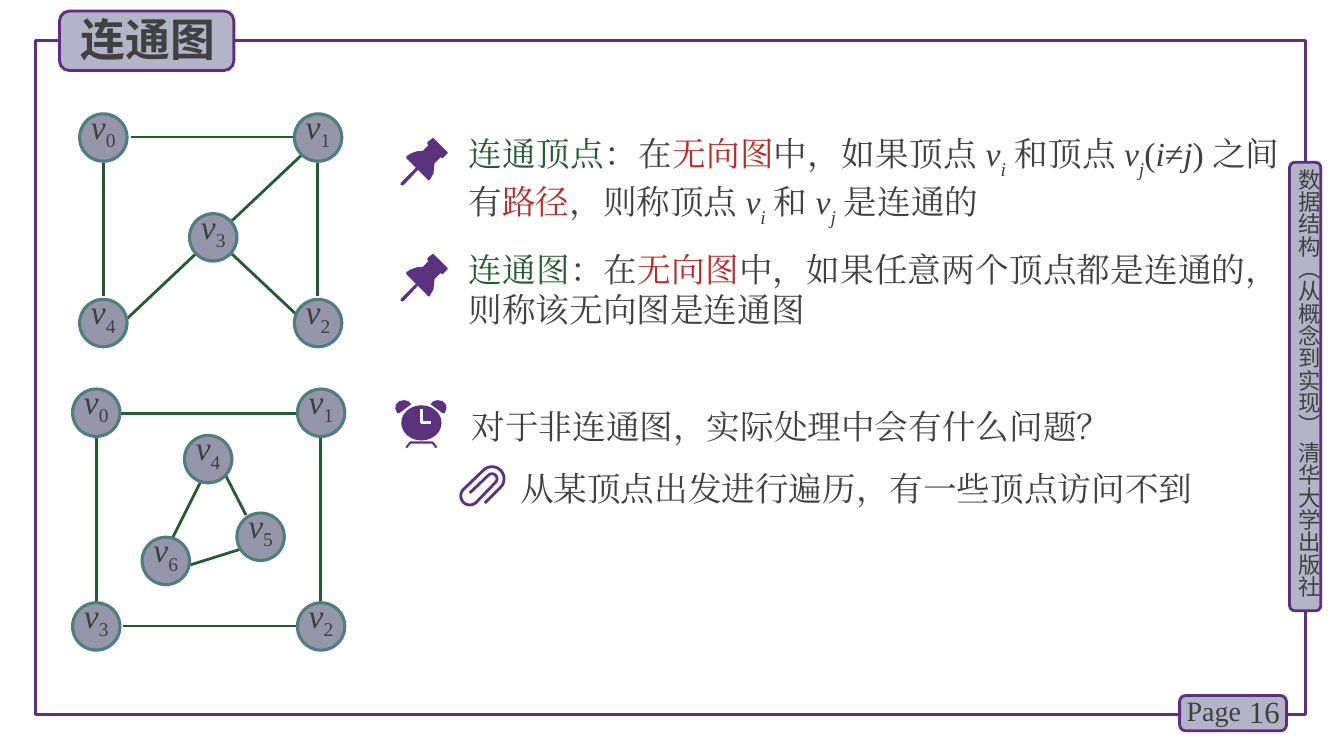
"""Build the slide on connected graphs, with two example graphs and notes."""
from dataclasses import dataclass
from math import cos, radians, sin

from lxml.etree import SubElement
from pptx import Presentation
from pptx.dml.color import RGBColor
from pptx.enum.shapes import MSO_CONNECTOR, MSO_SHAPE
from pptx.enum.text import MSO_ANCHOR, MSO_AUTO_SIZE, PP_ALIGN
from pptx.oxml.ns import qn
from pptx.util import Inches, Pt


@dataclass(frozen=True)
class Theme:
    purple: RGBColor = RGBColor.from_string("5A327D")
    badge_line: RGBColor = RGBColor.from_string("5C307D")
    badge_fill: RGBColor = RGBColor.from_string("B4B4C8")
    vertex_fill: RGBColor = RGBColor.from_string("9696AA")
    vertex_line: RGBColor = RGBColor.from_string("507D7D")
    green: RGBColor = RGBColor.from_string("285A32")
    red: RGBColor = RGBColor.from_string("B42D2D")
    text: RGBColor = RGBColor.from_string("404040")
    white: RGBColor = RGBColor.from_string("FFFFFF")
    serif: str = "Times New Roman"
    sans: str = "Noto Sans CJK SC"
    title_size: int = 32
    body_size: int = 24
    number_size: int = 22
    page_size: int = 20
    side_size: int = 16


theme = Theme()


def write(paragraph, pieces, size=theme.body_size, font=theme.serif):
    """Add runs given as (text, colour, italic, baseline in percent)."""
    for text, colour, italic, baseline in pieces:
        run = paragraph.add_run()
        run.text = text
        run.font.size = Pt(size)
        run.font.italic = italic
        run.font.color.rgb = colour
        run.font.name = font
        properties = run.font._element
        SubElement(properties, qn("a:ea")).set("typeface", font)
        if baseline:
            properties.set("baseline", str(baseline * 1000))


def trace(points, fill=None, stroke=None, width=2):
    """Draw a filled outline, or an open stroke when there is no fill."""
    corners = [(Inches(x), Inches(y)) for x, y in points]
    builder = slide.shapes.build_freeform(*corners[0])
    builder.add_line_segments(corners[1:], close=fill is not None)
    outline = builder.convert_to_shape()
    outline.shadow.inherit = False
    if fill is None:
        outline.fill.background()
        outline.line.color.rgb = stroke
        outline.line.width = Pt(width)
    else:
        outline.fill.solid()
        outline.fill.fore_color.rgb = fill
        outline.line.fill.background()


presentation = Presentation()
presentation.slide_width = Inches(13.33)
presentation.slide_height = Inches(7.5)
slide = presentation.slides.add_slide(presentation.slide_layouts[5])

border = slide.shapes.add_shape(
    MSO_SHAPE.RECTANGLE, Inches(0.35), Inches(0.4), Inches(12.6), Inches(6.69))
border.shadow.inherit = False
border.fill.background()
border.line.color.rgb = theme.purple
border.line.width = Pt(2.25)

for box in [(12.79, 1.61, 0.31, 4.45), (11.7, 6.9, 1.06, 0.35), (0.59, 0.11, 1.73, 0.59)]:
    badge = slide.shapes.add_shape(MSO_SHAPE.ROUNDED_RECTANGLE, *map(Inches, box))
    badge.shadow.inherit = False
    badge.fill.solid()
    badge.fill.fore_color.rgb = theme.badge_fill
    badge.line.color.rgb = theme.badge_line
    badge.line.width = Pt(2)

title = slide.shapes.title
slide.shapes.element.append(title.element)
title.left, title.top, title.width, title.height = map(Inches, (0.7, 0.07, 1.61, 0.64))
title.text_frame.auto_size = MSO_AUTO_SIZE.NONE
title.text_frame.vertical_anchor = MSO_ANCHOR.TOP
heading = title.text_frame.paragraphs[0]
heading.alignment = PP_ALIGN.LEFT
write(heading, [("连通图", theme.text, False, 0)], theme.title_size, theme.sans)
heading.runs[0].font.bold = True

side_label = slide.shapes.add_textbox(Inches(12.85), Inches(1.67), Inches(0.27), Inches(4.49))
side_frame = side_label.text_frame
side_frame.word_wrap = True
side_frame.margin_left = side_frame.margin_right = 0
side_frame.margin_top = side_frame.margin_bottom = 0
side_frame._txBody.bodyPr.set("vert", "eaVert")
write(side_frame.paragraphs[0],
      [("数据结构（从概念到实现） 清华大学出版社", theme.text, False, 0)],
      theme.side_size, theme.sans)

for label, box, size, alignment, anchor in [
    ("16", (12.2, 6.86, 0.59, 0.4), theme.number_size, PP_ALIGN.RIGHT, MSO_ANCHOR.MIDDLE),
    ("Page", (11.67, 6.83, 0.78, 0.44), theme.page_size, PP_ALIGN.LEFT, MSO_ANCHOR.TOP),
]:
    page_frame = slide.shapes.add_textbox(*map(Inches, box)).text_frame
    page_frame.word_wrap = True
    page_frame.vertical_anchor = anchor
    page_frame.paragraphs[0].alignment = alignment
    write(page_frame.paragraphs[0], [(label, theme.text, False, 0)], size)

connected_edges = [
    (1.3, 1.36, 2.95, 1.36), (1.94, 2.52, 1.23, 3.19), (2.3, 2.52, 2.95, 3.13),
    (1.03, 1.62, 1.03, 2.94), (3.15, 1.62, 3.15, 2.94), (3, 1.53, 2.29, 2.2),
]
separate_edges = [
    (1.22, 6.21, 2.95, 6.21), (1.99, 4.78, 1.71, 5.34), (0.96, 4.33, 0.96, 5.98),
    (3.18, 4.33, 3.18, 5.98), (1.2, 4.1, 2.94, 4.1), (2.38, 5.45, 1.87, 5.61),
    (2.24, 4.72, 2.44, 5.11),
]
connected_vertices = [(0.79, 1.13), (2.92, 1.13), (2.92, 2.97), (1.88, 2.12), (0.79, 2.97)]
separate_vertices = [(0.72, 3.86), (2.95, 3.86), (2.95, 5.98), (0.72, 5.98),
                     (1.83, 4.32), (2.35, 5.09), (1.41, 5.33)]

for edges, vertices in [(connected_edges, connected_vertices),
                        (separate_edges, separate_vertices)]:
    for ends in edges:
        edge = slide.shapes.add_connector(MSO_CONNECTOR.STRAIGHT, *map(Inches, ends))
        edge.line.color.rgb = theme.green
        edge.line.width = Pt(2)
        SubElement(edge.element.spPr, qn("a:effectLst"))
    for index, (left, top) in enumerate(vertices):
        vertex = slide.shapes.add_shape(
            MSO_SHAPE.OVAL, Inches(left), Inches(top), Inches(0.47), Inches(0.47))
        vertex.shadow.inherit = False
        vertex.fill.solid()
        vertex.fill.fore_color.rgb = theme.vertex_fill
        vertex.line.color.rgb = theme.vertex_line
        vertex.line.width = Pt(2.25)
        vertex_frame = vertex.text_frame
        vertex_frame.margin_left = vertex_frame.margin_right = 0
        vertex_frame.margin_top = vertex_frame.margin_bottom = 0
        vertex_frame.vertical_anchor = MSO_ANCHOR.TOP
        vertex_name = vertex_frame.paragraphs[0]
        vertex_name.alignment = PP_ALIGN.CENTER
        vertex_name.line_spacing = Pt(22)
        write(vertex_name, [("v", theme.text, True, 0), (str(index), theme.text, False, -25)])

v_i = [("v", theme.text, True, 0), ("i", theme.text, True, -30)]
v_j = [("v", theme.text, True, 0), ("j", theme.text, True, -30)]
connected_pair = [
    ("连通顶点", theme.green, False, 0), ("：在", theme.text, False, 0),
    ("无向图", theme.red, False, 0), ("中，如果顶点", theme.text, False, 0), *v_i,
    ("和顶点", theme.text, False, 0), *v_j, ("(", theme.text, False, 0),
    ("i", theme.text, True, 0), ("≠", theme.text, False, 0), ("j", theme.text, True, 0),
    (")之间有", theme.text, False, 0), ("路径", theme.red, False, 0),
    ("，则称顶点", theme.text, False, 0), *v_i, ("和", theme.text, False, 0), *v_j,
    ("是连通的", theme.text, False, 0),
]
connected_graph = [
    ("连通图", theme.green, False, 0), ("：在", theme.text, False, 0),
    ("无向图", theme.red, False, 0),
    ("中，如果任意两个顶点都是连通的，则称该无向图是连通图", theme.text, False, 0),
]
question = [("对于非连通图，实际处理中会有什么问题？", theme.text, False, 0)]
answer = [("从某顶点出发进行遍历，有一些顶点访问不到", theme.text, False, 0)]

for pieces, box, spacing in [
    (connected_pair, (4.55, 1.27, 8.24, 0.91), None),
    (connected_graph, (4.55, 2.42, 8.24, 0.91), None),
    (question, (4.58, 3.89, 7.96, 0.59), Pt(35)),
    (answer, (5.06, 4.51, 7.12, 0.59), Pt(35)),
]:
    note_frame = slide.shapes.add_textbox(*map(Inches, box)).text_frame
    note_frame.word_wrap = True
    note = note_frame.paragraphs[0]
    note.alignment = PP_ALIGN.JUSTIFY
    note.line_spacing = spacing
    write(note, pieces)

pin_head = [(4.44, 1.51), (4.3, 1.37), (4.29, 1.37), (4.24, 1.41), (4.24, 1.43), (4.25, 1.44),
            (4.19, 1.5), (4.14, 1.5), (4.08, 1.52), (4.03, 1.55), (4.03, 1.57), (4.25, 1.79),
            (4.26, 1.79), (4.3, 1.72), (4.31, 1.62), (4.37, 1.56), (4.39, 1.57), (4.44, 1.52)]
pin_needle = [(3.99, 1.84), (3.97, 1.83), (3.98, 1.81), (4.13, 1.66), (4.15, 1.66),
              (4.15, 1.68), (4, 1.84)]
for drop in (0, 1.15):
    for part in (pin_head, pin_needle):
        trace([(x, y + drop) for x, y in part], fill=theme.purple)

clock_face = slide.shapes.add_shape(
    MSO_SHAPE.OVAL, Inches(3.98), Inches(4.02), Inches(0.4), Inches(0.35))
clock_face.shadow.inherit = False
clock_face.fill.solid()
clock_face.fill.fore_color.rgb = theme.purple
clock_face.line.fill.background()
clock_bell = [(3.96, 4.1), (3.94, 4.1), (3.92, 4.05), (3.93, 4.01), (3.96, 3.98),
              (4.01, 3.97), (4.05, 3.98), (4.08, 4.01)]
trace(clock_bell, fill=theme.purple)
trace([(8.35 - x, y) for x, y in clock_bell], fill=theme.purple)
trace([(4.18, 4.06), (4.18, 4.19), (4.27, 4.19)], stroke=theme.white)
trace([(4.03, 4.44), (4.07, 4.39), (4.29, 4.39), (4.33, 4.44)], stroke=theme.purple, width=1.5)

clip_bends = [(4.88, 4.75, 0.12, 45), (4.66, 4.92, 0.09, 225), (4.88, 4.75, 0.05, 45)]
clip = [(x + radius * cos(radians(start - turn)), y + radius * sin(radians(start - turn)))
        for x, y, radius, start in clip_bends for turn in range(0, 181, 15)]
trace([(4.81, 4.99), *clip, (4.66, 4.89)], stroke=theme.purple)

presentation.save("out.pptx")
